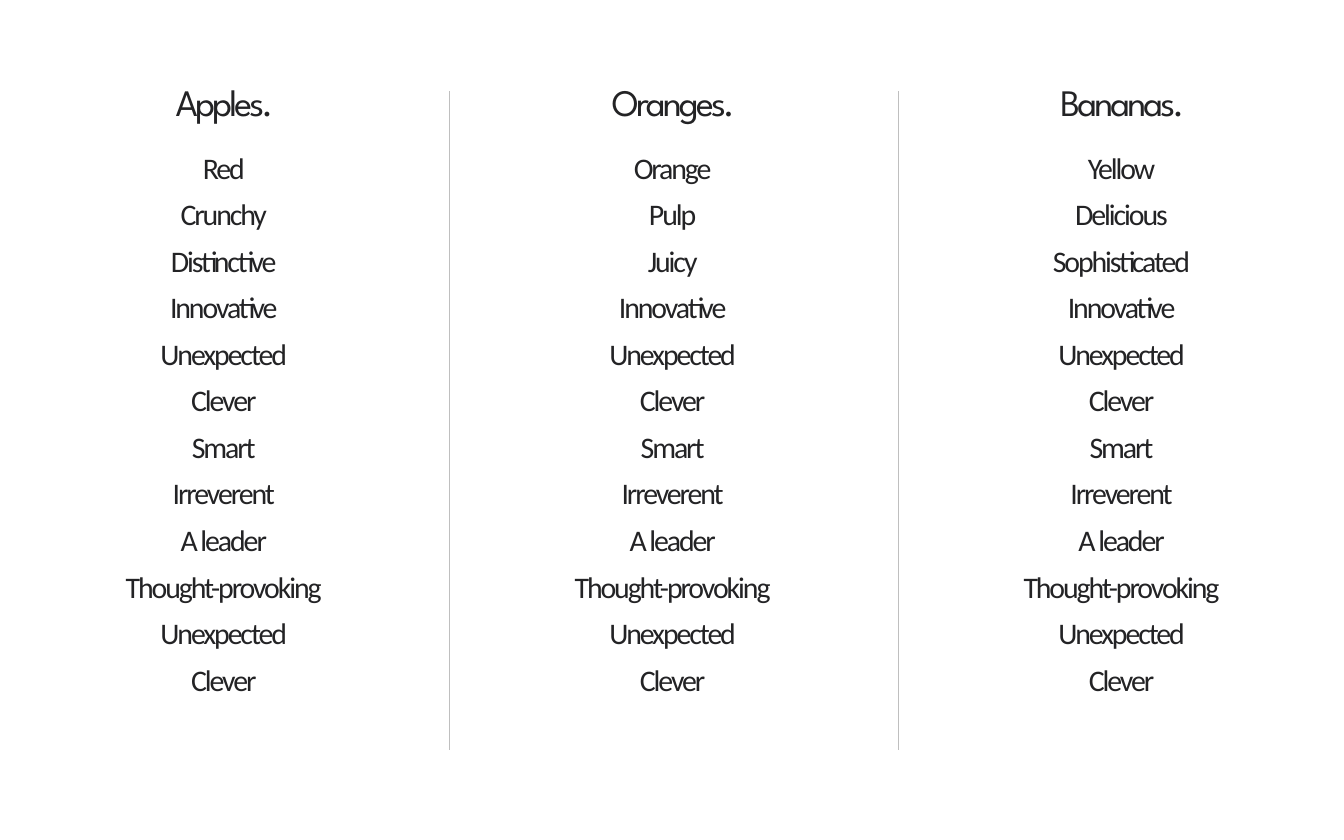
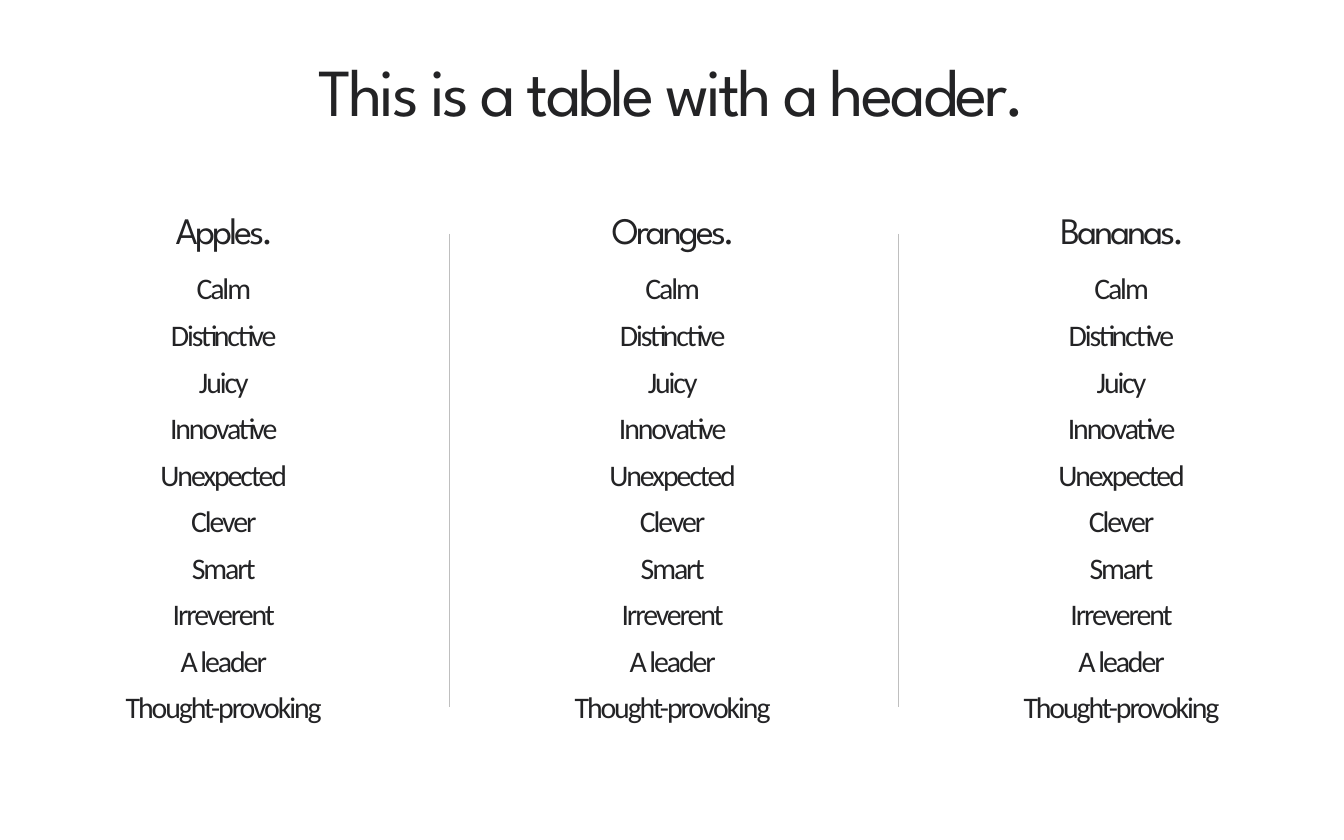
import pptx
import pptx.dml.color
import pptx.enum.shapes
import pptx.enum.text
import pptx.oxml.ns
import pptx.util
from lxml import etree

Inches = pptx.util.Inches
Pt = pptx.util.Pt

# Shared look: colours, fonts, type sizes and letter spacing (hundredths of a point)
THEME = {
    "paper": pptx.dml.color.RGBColor.from_string("FFFFFF"),
    "ink": pptx.dml.color.RGBColor.from_string("232325"),
    "rule": pptx.dml.color.RGBColor.from_string("BFBFBF"),
    "title": {"font": {"name": "League Spartan", "size": Pt(36)}, "spacing": -150, "leading": None},
    "heading": {"font": {"name": "League Spartan", "size": Pt(20)}, "spacing": -150, "leading": None},
    "list": {"font": {"name": "Calibri", "size": Pt(16)}, "spacing": -110, "leading": 1.3},
}

# Three equal columns, each with a list inset from its left edge
COLUMN_WIDTH = 3.34
LIST_INDENT = 0.32
LIST_WIDTH = 2.69

SHARED_TRAITS = ["Innovative", "Unexpected", "Clever", "Smart", "Irreverent", "A leader", "Thought-provoking"]
CALM_TRAITS = ["Calm", "Distinctive", "Juicy"] + SHARED_TRAITS
LONG_ENDING = SHARED_TRAITS + ["Unexpected", "Clever"]

comparisons = [
    {
        "title": None,
        "heading": (0.59, 0.41), "heading_inset": 0,
        "list": (1.03, 4.71),
        "rule": (0.68, 5.58),
        "fruits": {
            "Apples.": ["Red", "Crunchy", "Distinctive"] + LONG_ENDING,
            "Oranges.": ["Orange", "Pulp", "Juicy"] + LONG_ENDING,
            "Bananas.": ["Yellow", "Delicious", "Sophisticated"] + LONG_ENDING,
        },
    },
    {
        "title": "This is a table with a header.",
        "heading": (1.49, 0.34), "heading_inset": 0.05,
        "list": (1.93, 3.93),
        "rule": (1.74, 5.26),
        "fruits": {fruit: CALM_TRAITS for fruit in ("Apples.", "Oranges.", "Bananas.")},
    },
]


def add_text(slide, lines, style, left, top, width, height, side_inset=0.1, end_inset=0):
    """Add centred lines of text in one of the theme's styles."""
    frame = slide.shapes.add_textbox(Inches(left), Inches(top), Inches(width), Inches(height)).text_frame
    frame_format = {
        "word_wrap": True,
        "vertical_anchor": pptx.enum.text.MSO_ANCHOR.TOP,
        "margin_left": Inches(side_inset),
        "margin_right": Inches(side_inset),
        "margin_top": Inches(end_inset),
        "margin_bottom": Inches(end_inset),
    }
    for attribute, value in frame_format.items():
        setattr(frame, attribute, value)
    for index, line in enumerate(lines):
        paragraph = frame.add_paragraph() if index else frame.paragraphs[0]
        paragraph.alignment = pptx.enum.text.PP_ALIGN.CENTER
        paragraph.line_spacing = THEME[style]["leading"]
        run = paragraph.add_run()
        run.text = line
        for attribute, value in THEME[style]["font"].items():
            setattr(run.font, attribute, value)
        run.font.color.rgb = THEME["ink"]
        run._r.get_or_add_rPr().set("spc", str(THEME[style]["spacing"]))


deck = pptx.Presentation()
deck.slide_width = Inches(10)
deck.slide_height = Inches(6.25)

for comparison in comparisons:
    slide = deck.slides.add_slide(deck.slide_layouts[6])
    slide.background.fill.solid()
    slide.background.fill.fore_color.rgb = THEME["paper"]

    # Title
    if comparison["title"]:
        add_text(slide, [comparison["title"]], "title", 0, 0.37, 10, 0.87)

    for column, (fruit, traits) in enumerate(comparison["fruits"].items()):
        column_left = column * COLUMN_WIDTH

        # Heading and list of the column
        heading_top, heading_height = comparison["heading"]
        add_text(slide, [fruit], "heading", column_left, heading_top, COLUMN_WIDTH, heading_height,
                 end_inset=comparison["heading_inset"])
        list_top, list_height = comparison["list"]
        add_text(slide, traits, "list", column_left + LIST_INDENT, list_top, LIST_WIDTH, list_height,
                 side_inset=0)

        # Rule between this column and the one before
        if column:
            rule_top, rule_bottom = comparison["rule"]
            rule = slide.shapes.add_connector(
                pptx.enum.shapes.MSO_CONNECTOR.STRAIGHT,
                Inches(column_left), Inches(rule_top), Inches(column_left), Inches(rule_bottom))
            rule.line.color.rgb = THEME["rule"]
            rule.line.width = Pt(0.25)
            etree.SubElement(rule._element.spPr, pptx.oxml.ns.qn("a:effectLst"))

deck.save("out.pptx")
